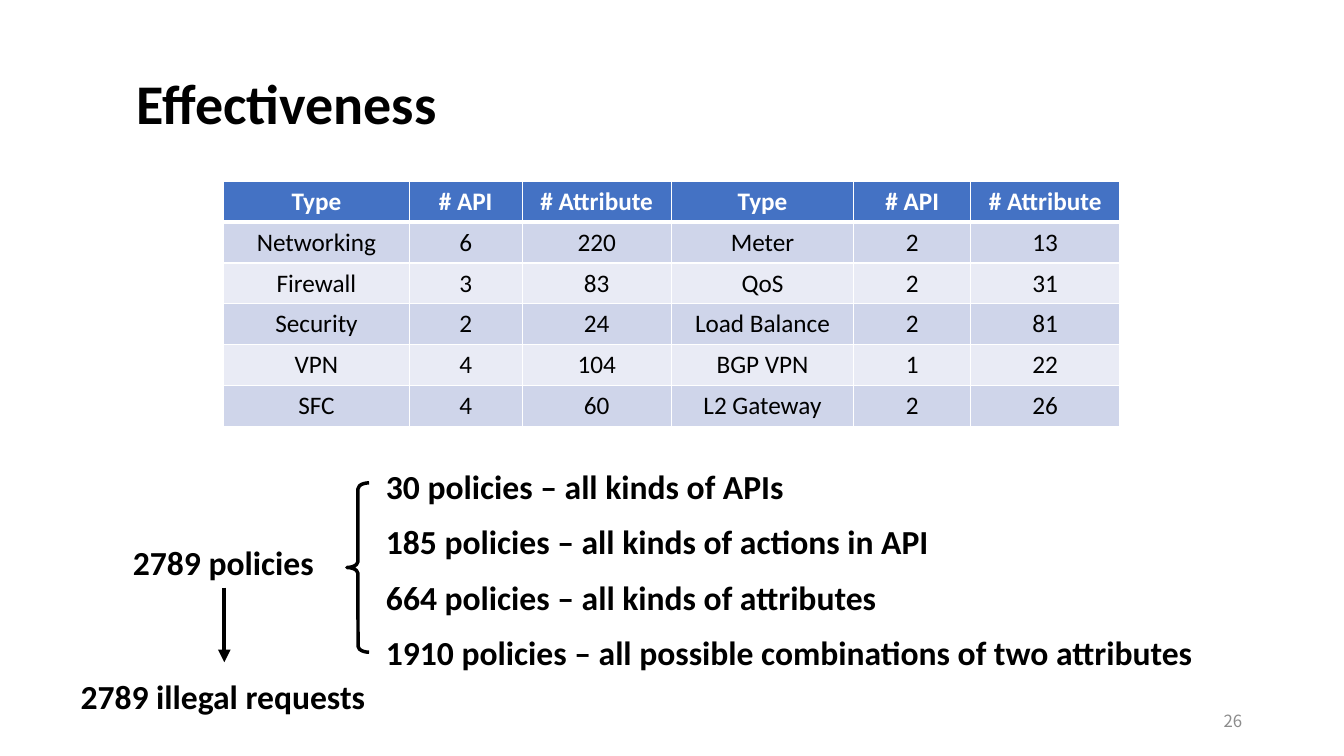
import typing

import lxml.etree
import pptx
import pptx.dml.color
import pptx.enum.shapes
import pptx.enum.text
import pptx.oxml.ns
import pptx.util

SLIDE_WIDTH = pptx.util.Inches(13.33)
SLIDE_HEIGHT = pptx.util.Inches(7.5)
COLORS = {"ink": "000000", "paper": "FFFFFF", "header": "4472C4",
          "odd": "CFD5EA", "even": "E9EBF5", "page": "8C8C8C"}
ALIGN = pptx.enum.text.PP_ALIGN
ANCHOR = pptx.enum.text.MSO_ANCHOR


class Area(typing.NamedTuple):
    """Left, top, width and height in percent of the slide."""
    left: float
    top: float
    width: float
    height: float


class Policy(typing.NamedTuple):
    text: str
    width: float
    wrap: bool


POLICY_LEFT, POLICY_TOP, POLICY_STEP, LINE_HEIGHT = 27.98, 60.93, 7.33, 6.67
POLICIES = [
    Policy("30 policies – all kinds of APIs", 31.36, False),
    Policy("185 policies – all kinds of actions in API", 44.64, True),
    Policy("664 policies – all kinds of attributes", 38.41, False),
    Policy("1910 policies – all possible combinations of two attributes", 63.24, True),
]
API_COLUMNS = [13.8, 8.4, 11.1, 13.58, 8.7, 11.1]
API_ROW_HEIGHT = 5.4
API_ROWS = [
    ["Type", "# API", "# Attribute"] * 2,
    ["Networking", "6", "220", "Meter", "2", "13"],
    ["Firewall", "3", "83", "QoS", "2", "31"],
    ["Security", "2", "24", "Load Balance", "2", "81"],
    ["VPN", "4", "104", "BGP VPN", "1", "22"],
    ["SFC", "4", "60", "L2 Gateway", "2", "26"],
]


def across(percent: float) -> int:
    return round(SLIDE_WIDTH * percent / 100)


def down(percent: float) -> int:
    return round(SLIDE_HEIGHT * percent / 100)


def place(area: Area) -> tuple[int, int, int, int]:
    return across(area.left), down(area.top), across(area.width), down(area.height)


def rgb(name: str) -> pptx.dml.color.RGBColor:
    return pptx.dml.color.RGBColor.from_string(COLORS[name])


def write(frame, text: str, *, size: float = 24, bold: bool = True, color: str = "ink",
          font: str = "Calibri", align=ALIGN.LEFT) -> None:
    paragraph = frame.paragraphs[0]
    paragraph.alignment = align
    run = paragraph.add_run()
    run.text = text
    run.font.name, run.font.size, run.font.bold = font, pptx.util.Pt(size), bold
    run.font.color.rgb = rgb(color)


def add_text(slide, area: Area, text: str, *, wrap: bool = False, grow: bool = True,
             anchor=ANCHOR.TOP, **text_format):
    box = slide.shapes.add_textbox(*place(area))
    frame = box.text_frame
    frame.word_wrap, frame.vertical_anchor = wrap, anchor
    if grow:
        frame.auto_size = pptx.enum.text.MSO_AUTO_SIZE.SHAPE_TO_FIT_TEXT
    write(frame, text, **text_format)
    return box


def set_borders(cell, widths: dict[str, float]) -> None:
    """Give the cell white sides; call before filling, as borders come first."""
    properties = cell._tc.get_or_add_tcPr()
    for side, width in widths.items():
        border = lxml.etree.SubElement(properties, pptx.oxml.ns.qn(f"a:{side}"),
                                       w=str(pptx.util.Pt(width)))
        fill = lxml.etree.SubElement(border, pptx.oxml.ns.qn("a:solidFill"))
        lxml.etree.SubElement(fill, pptx.oxml.ns.qn("a:srgbClr"), val=COLORS["paper"])


def add_api_table(slide) -> None:
    area = Area(16.65, 24, sum(API_COLUMNS), API_ROW_HEIGHT * len(API_ROWS))
    table = slide.shapes.add_table(len(API_ROWS), len(API_COLUMNS), *place(area)).table
    for column, width in zip(table.columns, API_COLUMNS):
        column.width = across(width)
    for index, values in enumerate(API_ROWS):
        table.rows[index].height = down(API_ROW_HEIGHT)
        header = index == 0
        band = "header" if header else "odd" if index % 2 else "even"
        for cell, value in zip(table.rows[index].cells, values):
            set_borders(cell, {"lnL": 1, "lnR": 1, "lnT": 3 if index == 1 else 1,
                               "lnB": 3 if header else 1})
            cell.fill.solid()
            cell.fill.fore_color.rgb = rgb(band)
            write(cell.text_frame, value, size=18, bold=header, align=ALIGN.CENTER,
                  color="paper" if header else "ink")


def add_brace(slide, area: Area) -> None:
    brace = slide.shapes.add_shape(pptx.enum.shapes.MSO_SHAPE.LEFT_BRACE, *place(area))
    brace.adjustments[0], brace.adjustments[1] = 0.271, 0.5
    brace.shadow.inherit = False
    brace.fill.background()
    brace.line.color.rgb = rgb("ink")
    brace.line.width = pptx.util.Pt(2.5)


def add_arrow_below(slide, source, end_row: float) -> None:
    center = source.left + source.width // 2
    arrow = slide.shapes.add_connector(pptx.enum.shapes.MSO_CONNECTOR.STRAIGHT, center,
                                       source.top + source.height, center, down(end_row))
    arrow.begin_connect(source, 2)
    arrow.line.color.rgb = rgb("ink")
    arrow.line.width = pptx.util.Pt(3)
    lxml.etree.SubElement(arrow.line._get_or_add_ln(), pptx.oxml.ns.qn("a:tailEnd"),
                          type="triangle")
    lxml.etree.SubElement(arrow._element.spPr, pptx.oxml.ns.qn("a:effectLst"))


def main() -> None:
    deck = pptx.Presentation()
    deck.slide_width, deck.slide_height = SLIDE_WIDTH, SLIDE_HEIGHT
    slide = deck.slides.add_slide(deck.slide_layouts[6])

    add_text(slide, Area(70.67, 92.67, 22.5, 5.33), "26", wrap=True, grow=False,
             anchor=ANCHOR.MIDDLE, size=12, bold=False, color="page",
             font="Noto Sans CJK SC", align=ALIGN.RIGHT)
    add_text(slide, Area(9.45, 8.4, 24.23, 10.27), "Effectiveness", size=40)
    add_api_table(slide)
    total = add_text(slide, Area(9.15, 71.07, 15.08, LINE_HEIGHT), "2789 policies")
    add_brace(slide, Area(25.81, 63.87, 1.65, 22.4))
    for index, policy in enumerate(POLICIES):
        area = Area(POLICY_LEFT, POLICY_TOP + index * POLICY_STEP, policy.width, LINE_HEIGHT)
        add_text(slide, area, policy.text, wrap=policy.wrap)
    add_arrow_below(slide, total, 87.6)
    add_text(slide, Area(5.25, 88.8, 22.88, LINE_HEIGHT), "2789 illegal requests")

    deck.save("out.pptx")


if __name__ == "__main__":
    main()
